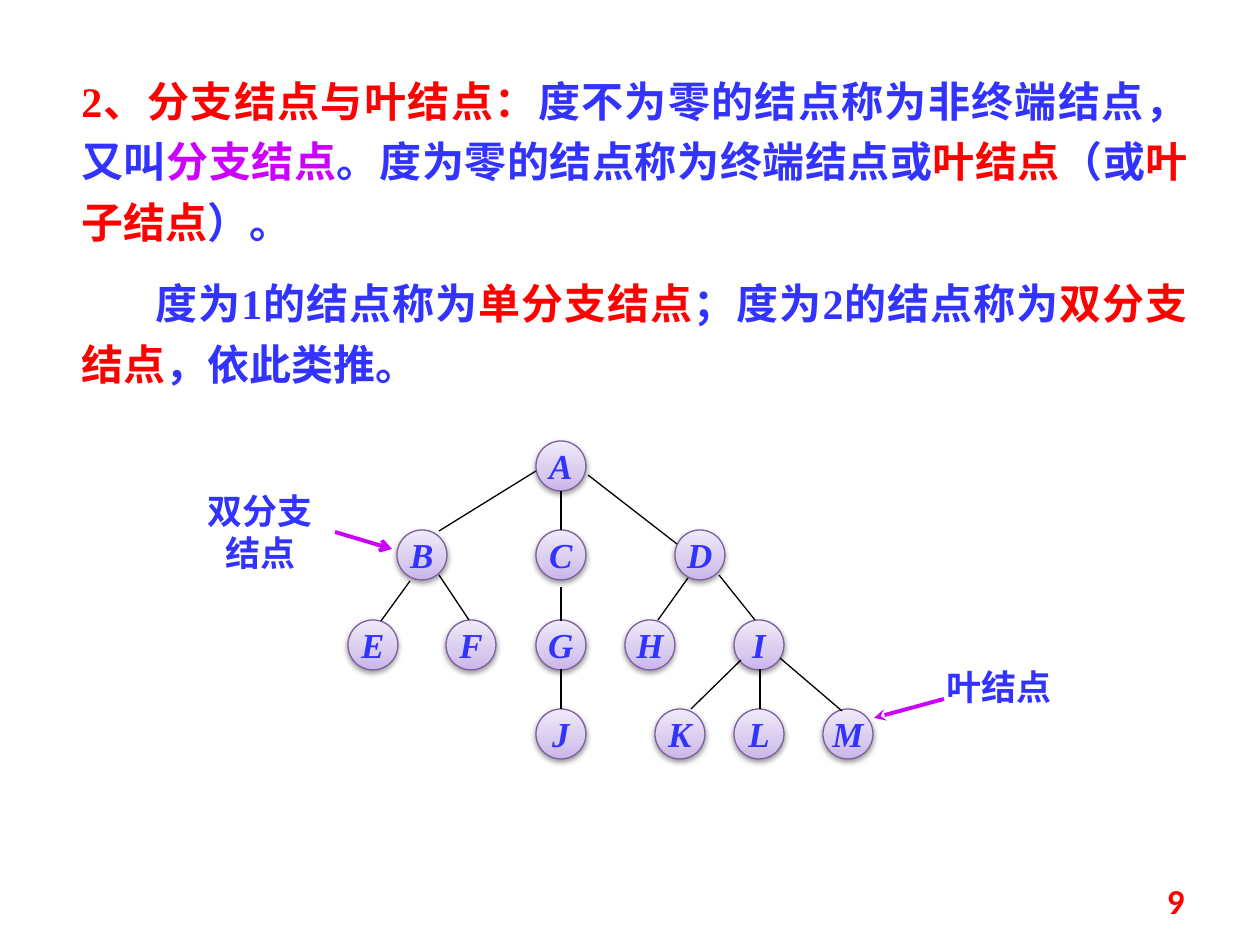
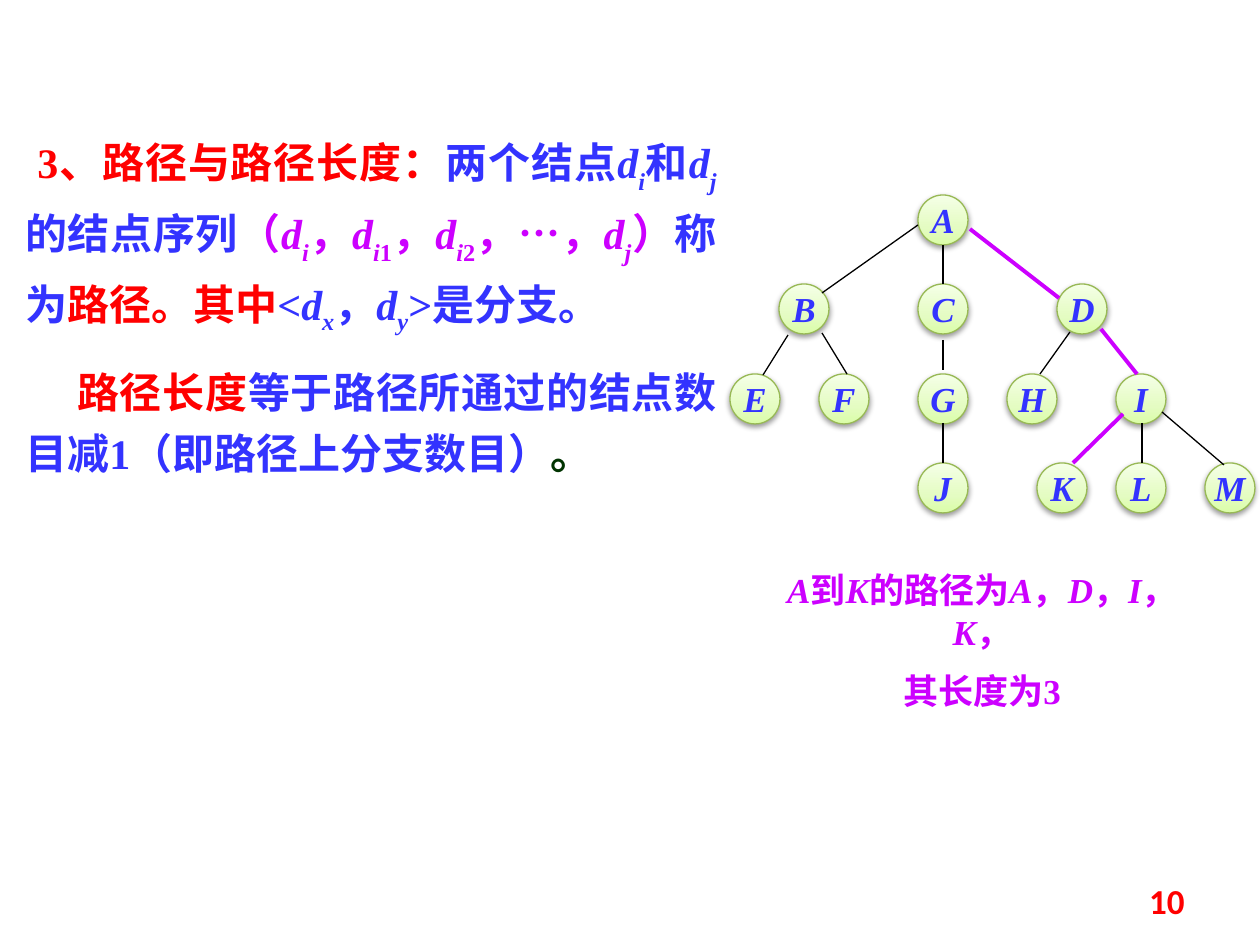
"""Builds two slides about tree nodes and paths."""
from typing import NamedTuple

from lxml.etree import SubElement
from pptx import Presentation
from pptx.dml.color import RGBColor
from pptx.enum.shapes import MSO_CONNECTOR, MSO_SHAPE
from pptx.enum.text import MSO_ANCHOR, PP_ALIGN
from pptx.oxml.ns import qn
from pptx.util import Pt

COLORS = {
    "red": "FF0000", "blue": "3333FF", "purple": "CC00FF", "green": "003300", "black": "000000",
}
NODE_STYLES = {
    "lilac": {"stops": ((0, "C9B5E8"), (35, "D8CBEE"), (100, "F0EAF9")), "line": "7D60A0"},
    "lime": {"stops": ((0, "DAFDA7"), (35, "E4FCC2"), (100, "F5FFE7")), "line": "98B955"},
}
LATIN_FONT = "Times New Roman"
CHINESE_FONT = "Noto Sans CJK SC"
NODE_SIZE = 50
LEVELS = (0, 89, 179, 268)

NODES = {
    "A": (0, 0), "B": (-139, 1), "C": (0, 1), "D": (139, 1),
    "E": (-188, 2), "F": (-90, 2), "G": (0, 2), "H": (89, 2), "I": (198, 2),
    "J": (0, 3), "K": (119, 3), "L": (198, 3), "M": (287, 3),
}
EDGES = {
    "AB": (0, 30, -97, 90), "AC": (25, 50, 25, 89), "AD": (52, 34, 141, 103),
    "BE": (-126, 140, -155, 180), "BF": (-97, 134, -67, 179), "CG": (25, 146, 25, 180),
    "DH": (152, 137, 122, 179), "DI": (183, 134, 219, 179), "GJ": (25, 228, 25, 268),
    "IK": (205, 219, 155, 268), "IL": (224, 228, 224, 268), "IM": (244, 217, 306, 270),
}


class Run(NamedTuple):
    text: str
    color: str = "blue"
    italic: bool = False
    baseline: int = 0
    font: str = ""


def term(letter, index, color="blue", number="", baseline=-30):
    runs = [Run(letter, color, True), Run(index, color, True, baseline)]
    return runs + [Run(number, color, False, baseline)] if number else runs


class Deck:
    def __init__(self):
        self.presentation = Presentation()
        self.scale = 914400 / 126
        self.presentation.slide_width = self.emu(1260)
        self.presentation.slide_height = self.emu(945)
        self.slide = None

    def emu(self, px):
        return round(px * self.scale)

    def box(self, *lengths):
        return [self.emu(length) for length in lengths]

    def color(self, name):
        return RGBColor.from_string(COLORS[name])

    def add_slide(self, number):
        self.slide = self.presentation.slides.add_slide(self.presentation.slide_layouts[6])
        self.text((903, 876, 294, 50), [[Run(number, "red")]], 20, PP_ALIGN.RIGHT,
                  font="Calibri", anchor=MSO_ANCHOR.MIDDLE)

    def fill_paragraph(self, paragraph, runs, size, alignment, font=LATIN_FONT):
        paragraph.alignment = alignment
        base = runs[0]
        paragraph.font.size = Pt(size)
        paragraph.font.bold = True
        paragraph.font.name = font
        paragraph.font.color.rgb = self.color(base.color)
        properties = paragraph._p.get_or_add_pPr().find(qn("a:defRPr"))
        SubElement(properties, qn("a:ea"), typeface=CHINESE_FONT)
        for item in runs:
            run = paragraph.add_run()
            run.text = item.text
            if item.color != base.color:
                run.font.color.rgb = self.color(item.color)
            if item.italic:
                run.font.italic = True
            if item.font:
                run.font.name = item.font
            if item.baseline:
                run._r.get_or_add_rPr().set("baseline", str(item.baseline * 1000))

    def text(self, position, paragraphs, size, alignment=PP_ALIGN.CENTER, font=LATIN_FONT,
             anchor=MSO_ANCHOR.TOP, spacing=None, indents=()):
        frame = self.slide.shapes.add_textbox(*self.box(*position)).text_frame
        frame.word_wrap = True
        frame.vertical_anchor = anchor
        for index, runs in enumerate(paragraphs):
            paragraph = frame.add_paragraph() if index else frame.paragraphs[0]
            if index:
                paragraph.space_before = Pt(size / 2)
            if spacing:
                paragraph.line_spacing = spacing
            if indents:
                paragraph._p.get_or_add_pPr().set("indent", str(self.emu(indents[index])))
            self.fill_paragraph(paragraph, runs, size, alignment, font)

    def line(self, points, color="black", width=0.75, arrow=None):
        connector = self.slide.shapes.add_connector(MSO_CONNECTOR.STRAIGHT, *self.box(*points))
        connector.line.color.rgb = self.color(color)
        connector.line.width = Pt(width)
        properties = connector._element.spPr
        if arrow:
            SubElement(properties.find(qn("a:ln")), qn("a:tailEnd"), type=arrow)
        SubElement(properties, qn("a:effectLst"))

    def node(self, letter, left, top, style):
        shape = self.slide.shapes.add_shape(
            MSO_SHAPE.OVAL, *self.box(left, top, NODE_SIZE, NODE_SIZE))
        properties = shape._element.spPr
        gradient = SubElement(properties, qn("a:gradFill"), rotWithShape="1")
        stops = SubElement(gradient, qn("a:gsLst"))
        for position, value in style["stops"]:
            stop = SubElement(stops, qn("a:gs"), pos=str(position * 1000))
            SubElement(stop, qn("a:srgbClr"), val=value)
        SubElement(gradient, qn("a:lin"), ang="16200000", scaled="0")
        shape.line.color.rgb = RGBColor.from_string(style["line"])
        shape.line.width = Pt(0.75)
        shape.shadow.inherit = False
        shadow = SubElement(properties.find(qn("a:effectLst")), qn("a:outerShdw"),
                            blurRad=str(Pt(3.1)), dist=str(Pt(1.6)), dir="5400000",
                            rotWithShape="0")
        shadow_color = SubElement(shadow, qn("a:srgbClr"), val=COLORS["black"])
        SubElement(shadow_color, qn("a:alpha"), val="38000")
        frame = shape.text_frame
        frame.word_wrap = False
        frame.vertical_anchor = MSO_ANCHOR.MIDDLE
        frame.margin_left = frame.margin_right = frame.margin_top = frame.margin_bottom = 0
        self.fill_paragraph(frame.paragraphs[0], [Run(letter, italic=True)], 20, PP_ALIGN.CENTER)

    def tree(self, left, top, style, nodes=NODES, edges=EDGES, path_edges=()):
        for letter, (offset, level) in nodes.items():
            self.node(letter, left + offset, top + LEVELS[level], NODE_STYLES[style])
        for name, (x1, y1, x2, y2) in edges.items():
            points = (left + x1, top + y1, left + x2, top + y2)
            if name in path_edges:
                self.line(points, "purple", 2.25)
            else:
                self.line(points)


def add_node_kinds(deck):
    deck.add_slide("9")
    deck.text((69, 59, 1131, 344), [
        [Run("2、分支结点与叶结点：", "red"), Run("度不为零的结点称为非终端结点，又叫"),
         Run("分支结点", "purple"), Run("。度为零的结点称为终端结点或"),
         Run("叶结点", "red"), Run("（或"), Run("叶子结点", "red"), Run("）。")],
        [Run("度为1的结点称为"), Run("单分支结点", "red"), Run("；度为2的结点称为"),
         Run("双分支结点", "red"), Run("，依此类推。")],
    ], 24, PP_ALIGN.JUSTIFY, spacing=1.2, indents=(0, 74))
    deck.text((925, 659, 149, 55), [[Run("叶结点")]], 20)
    deck.text((186, 483, 149, 97), [[Run("双分支结点")]], 20)
    deck.line((944, 699, 874, 718), "purple", 2.25, "stealth")
    deck.line((335, 532, 392, 549), "purple", 2.25, "arrow")
    deck.tree(536, 441, "lilac")


def add_paths(deck):
    deck.add_slide("10")
    comma = Run("，", "purple")
    deck.text((13, 118, 716, 354), [
        [Run("3、路径与路径长度：", "red"), Run("两个结点"), *term("d", "i"), Run("和"),
         *term("d", "j"), Run("的结点序列"), Run("（", "purple"),
         *term("d", "i", "purple"), comma, *term("d", "i", "purple", "1"), comma,
         *term("d", "i", "purple", "2"), comma, Run("…", "purple", font=CHINESE_FONT), comma,
         *term("d", "j", "purple"), Run("）", "purple"), Run("称为"), Run("路径。其中", "red"),
         Run("<"), *term("d", "x", baseline=-25), Run("，"), *term("d", "y", baseline=-25),
         Run(">是分支。")],
        [Run("路径长度", "red"), Run("等于路径所通过的结点数目减1（即路径上分支数目）"),
         Run("。", "green")],
    ], 24, PP_ALIGN.JUSTIFY, spacing=1.2, indents=(12, 52))
    nodes = {**NODES, "F": (-99, 2)}
    edges = {**EDGES, "AB": (0, 30, -96, 98), "BE": (-130, 140, -155, 180),
             "BF": (-96, 138, -71, 179), "CG": (25, 145, 25, 175)}
    deck.tree(918, 195, "lime", nodes, edges, ("AD", "DI", "IK"))
    path_runs = [Run("A", "purple", True), Run("到", "purple"), Run("K", "purple", True),
                 Run("的路径为", "purple")]
    for letter in "ADIK":
        path_runs += [Run(letter, "purple", True), comma]
    deck.text((759, 562, 446, 117), [path_runs, [Run("其长度为3", "purple")]], 20)


def main():
    deck = Deck()
    add_node_kinds(deck)
    add_paths(deck)
    deck.presentation.save("out.pptx")


if __name__ == "__main__":
    main()
